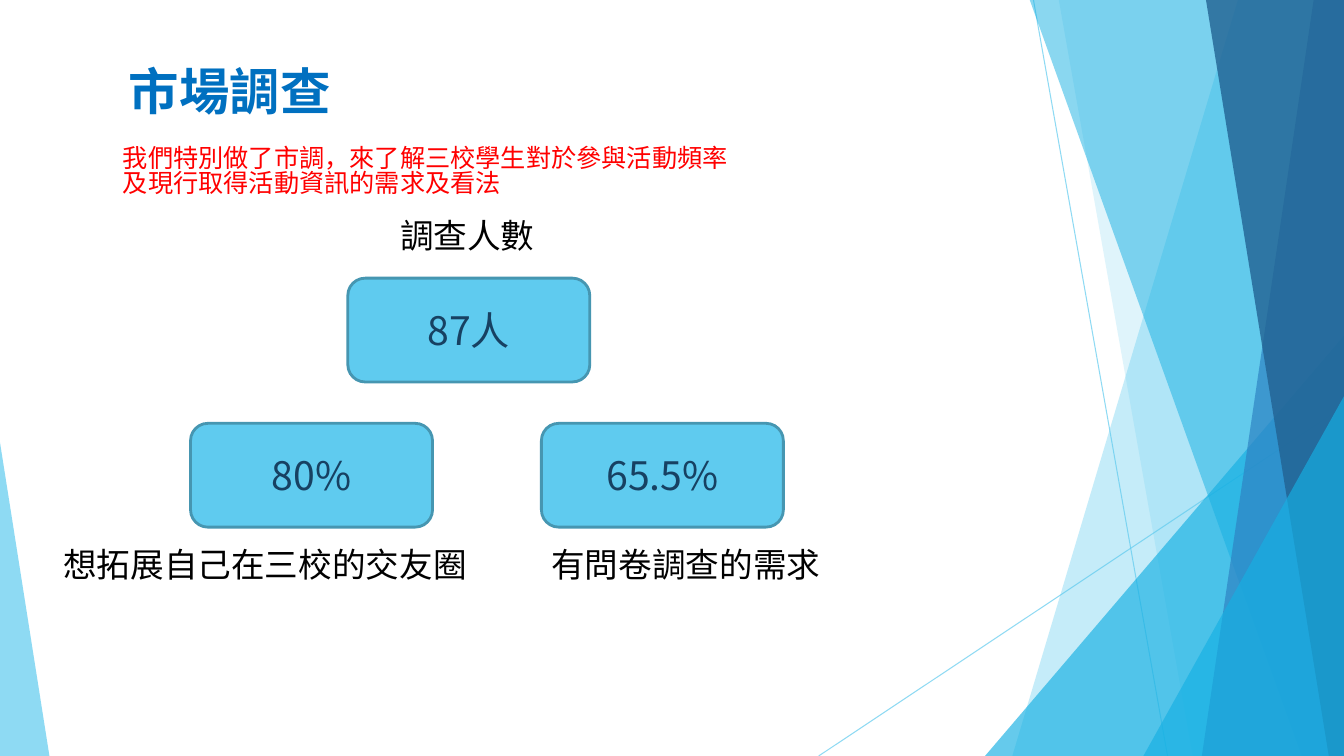
import pptx
import pptx.dml.color
import pptx.enum.shapes
import pptx.enum.text
import pptx.oxml.ns
import pptx.util
from lxml import etree

Inches = pptx.util.Inches
Pt = pptx.util.Pt
Kind = pptx.enum.shapes.MSO_SHAPE
Align = pptx.enum.text.PP_ALIGN
Anchor = pptx.enum.text.MSO_ANCHOR
Fit = pptx.enum.text.MSO_AUTO_SIZE

WIDTH, HEIGHT = 13.33, 7.5
FONT = "Noto Sans CJK SC"
COLORS = {
    "sky": "5FCBEF",
    "cyan": "16B0E3",
    "blue": "2E83C3",
    "navy": "226292",
    "edge": "4696B1",
    "figure": "174162",
    "title": "0070C0",
    "intro": "FF0000",
    "label": "000000",
}


def set_all(target, values):
    for name, value in values.items():
        setattr(target, name, value)


class SlideBuilder:
    def __init__(self, page):
        self.page = page
        self.shapes = page.shapes

    def start_group(self):
        self.shapes = self.page.shapes.add_group_shape().shapes

    def end_group(self):
        self.shapes = self.page.shapes

    def paint(self, fill, color, opacity=100):
        fill.solid()
        fill.fore_color.rgb = pptx.dml.color.RGBColor.from_string(COLORS[color])
        if opacity < 100:
            for tone in fill._xPr.iter(pptx.oxml.ns.qn("a:srgbClr")):
                alpha = etree.SubElement(tone, pptx.oxml.ns.qn("a:alpha"))
                alpha.set("val", str(opacity * 1000))

    def line(self, start, end):
        points = [Inches(value) for value in (*start, *end)]
        line = self.shapes.add_connector(pptx.enum.shapes.MSO_CONNECTOR.STRAIGHT, *points)
        line.line.width = Pt(0.75)
        self.paint(line.line.fill, "sky", 70)
        etree.SubElement(line._element.spPr, pptx.oxml.ns.qn("a:effectLst"))

    def finish(self, shape, color, opacity):
        shape.shadow.inherit = False
        self.paint(shape.fill, color, opacity)
        shape.line.fill.background()

    def band(self, top_left, bottom_left, color, opacity):
        corners = [(top_left, -0.01), (WIDTH, -0.01), (WIDTH, HEIGHT), (bottom_left, HEIGHT)]
        points = [(Inches(x), Inches(y)) for x, y in corners]
        outline = self.shapes.build_freeform(*points[0], scale=1.0)
        outline.add_line_segments(points[1:], close=True)
        self.finish(outline.convert_to_shape(), color, opacity)

    def triangle(self, left, top, width, apex, color, opacity):
        area = [Inches(value) for value in (left, top, width, HEIGHT - top)]
        shape = self.shapes.add_shape(Kind.ISOSCELES_TRIANGLE, *area)
        shape.adjustments[0] = apex
        self.finish(shape, color, opacity)

    def fill_text(self, frame, lines, size, color, bold=False, **layout):
        frame.text = "\n".join(lines)
        for para in frame.paragraphs:
            set_all(para, layout)
            for span in para.runs:
                set_all(span.font, {"name": FONT, "size": Pt(size), "bold": bold})
                self.paint(span.font.fill, color)
                east = etree.SubElement(span.font._element, pptx.oxml.ns.qn("a:ea"))
                east.set("typeface", FONT)

    def title(self, text):
        box = self.shapes.add_textbox(Inches(1.18), 0, Inches(8.5), Inches(1.25))
        set_all(box.text_frame, {
            "word_wrap": True,
            "vertical_anchor": Anchor.BOTTOM,
            "margin_bottom": Inches(0.05),
        })
        self.fill_text(box.text_frame, [text], 36, "title", bold=True)

    def text(self, left, top, width, height, lines, size=24, color="label"):
        area = [Inches(value) for value in (left, top, width, height)]
        box = self.shapes.add_textbox(*area)
        set_all(box.text_frame, {
            "word_wrap": False,
            "auto_size": Fit.SHAPE_TO_FIT_TEXT,
            "margin_top": Inches(0.08),
            "margin_bottom": Inches(0.02),
        })
        self.fill_text(box.text_frame, lines, size, color, line_spacing=0.83)

    def figure(self, left, top, text):
        area = [Inches(value) for value in (left, top, 2.4, 1.03)]
        box = self.shapes.add_shape(Kind.ROUNDED_RECTANGLE, *area)
        box.shadow.inherit = False
        self.paint(box.fill, "sky")
        box.line.width = Pt(2)
        self.paint(box.line.fill, "edge")
        set_all(box.text_frame, {"word_wrap": True, "vertical_anchor": Anchor.MIDDLE})
        self.fill_text(box.text_frame, [text], 28, "figure", alignment=Align.CENTER)


def main():
    deck = pptx.Presentation()
    set_all(deck, {"slide_width": Inches(WIDTH), "slide_height": Inches(HEIGHT)})
    builder = SlideBuilder(deck.slides.add_slide(deck.slide_layouts[6]))

    builder.start_group()
    builder.line((10.25, 0), (11.58, HEIGHT))
    builder.line((WIDTH, 4.03), (8.12, HEIGHT))
    builder.band(12.28, 10.04, "sky", 36)
    builder.band(10.5, 11.83, "sky", 20)
    builder.triangle(9.77, 3.33, 3.56, 1, "cyan", 66)
    builder.band(10.21, 12.91, "cyan", 50)
    builder.band(13.03, 11.92, "blue", 70)
    builder.band(11.96, 13.18, "navy", 80)
    builder.triangle(11.34, 3.93, 1.99, 1, "cyan", 66)
    builder.triangle(0, 4.39, 0.49, 0, "sky", 70)
    builder.end_group()

    builder.title("市場調查")

    builder.start_group()
    for left, top, value in [(3.45, 2.76, "87人"), (5.37, 4.2, "65.5%"), (1.89, 4.2, "80%")]:
        builder.figure(left, top, value)
    builder.text(3.87, 2.12, 1.55, 0.5, ["調查人數"])
    builder.end_group()

    intro = ["我們特別做了市調，來了解三校學生對於參與活動頻率", "及現行取得活動資訊的需求及看法"]
    builder.text(1.12, 1.38, 6.26, 0.71, intro, size=18, color="intro")
    builder.text(0.53, 5.38, 4.24, 0.5, ["想拓展自己在三校的交友圈"])
    builder.text(5.37, 5.38, 2.89, 0.5, ["有問卷調查的需求"])

    deck.save("out.pptx")


if __name__ == "__main__":
    main()
